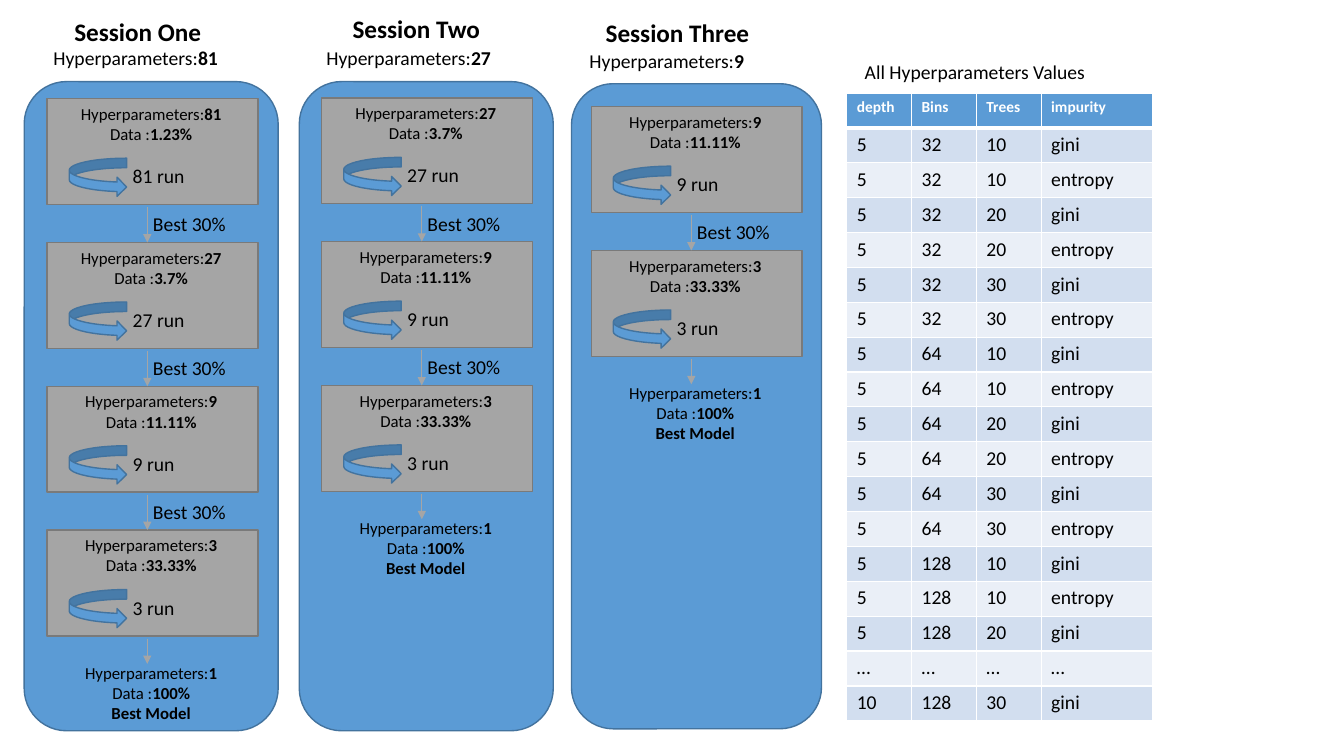
from dataclasses import dataclass
from itertools import islice, product

from lxml import etree
from pptx import Presentation
from pptx.dml.color import RGBColor
from pptx.enum.shapes import MSO_CONNECTOR, MSO_SHAPE
from pptx.enum.text import MSO_AUTO_SIZE, PP_ALIGN
from pptx.oxml.ns import qn
from pptx.shapes.autoshape import Shape
from pptx.slide import Slide
from pptx.table import _Cell
from pptx.util import Pt

RECTANGLE = MSO_SHAPE.RECTANGLE
ROUNDED_RECTANGLE = MSO_SHAPE.ROUNDED_RECTANGLE
LOOP_ARROW = MSO_SHAPE.CURVED_RIGHT_ARROW
STRAIGHT = MSO_CONNECTOR.STRAIGHT
LEFT, CENTER = PP_ALIGN.LEFT, PP_ALIGN.CENTER
GROW = MSO_AUTO_SIZE.SHAPE_TO_FIT_TEXT

FONT = "Calibri"
COLORS = {
    "blue": "5B9BD5",
    "blue_line": "43739E",
    "gray": "A5A5A5",
    "gray_line": "7A7A7A",
    "odd_row": "D2DEEF",
    "even_row": "EAEFF7",
    "white": "FFFFFF",
    "black": "000000",
}

Line = tuple[str, str]  # plain label, bold value


@dataclass(frozen=True)
class Frame:
    left: float
    top: float
    width: float
    height: float


@dataclass(frozen=True)
class Stage:
    hyperparameters: str
    data: str

    def lines(self) -> list[Line]:
        return [("Hyperparameters:", self.hyperparameters), ("Data :", self.data)]


@dataclass(frozen=True)
class Session:
    title: str
    title_frame: Frame
    count_frame: Frame
    panel: Frame
    box_left: float
    box_top: float
    stages: list[Stage]


STAGES = [Stage("81", "1.23%"), Stage("27", "3.7%"), Stage("9", "11.11%"), Stage("3", "33.33%")]
FINAL = Stage("1", "100%")
BOX_WIDTH, BOX_HEIGHT, BOX_PITCH = 150.5, 75.6, 102.7

SESSIONS = [
    Session("Session One", Frame(46, 8, 121, 29), Frame(31, 29.5, 154, 24.5),
            Frame(17.3, 58.3, 181.4, 463.7), 33.7, 70.5, STAGES),
    Session("Session Two", Frame(244.8, 5.8, 117.4, 29), Frame(226, 29.5, 154, 24.5),
            Frame(213.8, 58.3, 181.4, 463.7), 229.8, 69.9, STAGES[1:]),
    Session("Session Three", Frame(425.5, 8.6, 131, 29), Frame(414, 31.7, 146.2, 24.5),
            Frame(408.2, 59.8, 178.6, 460.8), 422.3, 76.2, STAGES[2:]),
]

COLUMN_WIDTHS = [46.3, 46.3, 46.3, 79.3]
ROW_HEIGHT = 24.92
HEADER = ("depth", "Bins", "Trees", "impurity")
COMBINATIONS = product(("5",), ("32", "64", "128"), ("10", "20", "30"), ("gini", "entropy"))
ROWS = [HEADER, *islice(COMBINATIONS, 15), ("…",) * 4, ("10", "128", "30", "gini")]


def rgb(color: str) -> RGBColor:
    return RGBColor.from_string(COLORS[color])


def add_text(slide: Slide, frame: Frame, lines: list[Line], *, size: float = 14,
             align: PP_ALIGN = LEFT, wrap: bool = False) -> None:
    """Add one paragraph per line, with the label plain and the value bold."""
    box = slide.shapes.add_textbox(
        Pt(frame.left), Pt(frame.top), Pt(frame.width), Pt(frame.height))
    text_frame = box.text_frame
    text_frame.word_wrap = wrap
    text_frame.auto_size = GROW
    for index, line in enumerate(lines):
        paragraph = text_frame.add_paragraph() if index else text_frame.paragraphs[0]
        paragraph.alignment = align
        for text, bold in zip(line, (False, True)):
            if text:
                run = paragraph.add_run()
                run.text = text
                run.font.name = FONT
                run.font.size = Pt(size)
                run.font.bold = bold
                run.font.color.rgb = rgb("black")


def add_shape(slide: Slide, kind: MSO_SHAPE, frame: Frame, fill: str, line: str) -> Shape:
    shape = slide.shapes.add_shape(
        kind, Pt(frame.left), Pt(frame.top), Pt(frame.width), Pt(frame.height))
    shape.shadow.inherit = False
    shape.fill.solid()
    shape.fill.fore_color.rgb = rgb(fill)
    shape.line.color.rgb = rgb(line)
    shape.line.width = Pt(1)
    return shape


def add_down_arrow(slide: Slide, x: float, top: float, bottom: float) -> None:
    connector = slide.shapes.add_connector(STRAIGHT, Pt(x), Pt(top), Pt(x), Pt(bottom))
    connector.line.color.rgb = rgb("gray")
    connector.line.width = Pt(0.5)
    etree.SubElement(connector.line._get_or_add_ln(), qn("a:tailEnd"), type="triangle")
    etree.SubElement(connector._element.spPr, qn("a:effectLst"))


def add_stage(slide: Slide, stage: Stage, left: float, top: float) -> None:
    add_shape(slide, RECTANGLE, Frame(left, top, BOX_WIDTH, BOX_HEIGHT), "gray", "gray_line")
    add_text(slide, Frame(left - 1, top, BOX_WIDTH, 36), stage.lines(),
             size=12, align=CENTER, wrap=True)
    add_shape(slide, LOOP_ARROW, Frame(left + 15.8, top + 42.5, 41, 27.4), "blue", "blue_line")
    run_width = 40.3 + 7.5 * len(stage.hyperparameters)
    add_text(slide, Frame(left + 54, top + 43.2, run_width, 24.5),
             [(f"{stage.hyperparameters} run", "")])


def add_session(slide: Slide, session: Session) -> None:
    add_shape(slide, ROUNDED_RECTANGLE, session.panel, "blue", "blue_line")
    add_text(slide, session.title_frame, [("", session.title)], size=18)
    add_text(slide, session.count_frame, session.stages[0].lines()[:1])
    left = session.box_left
    arrow_x = left + 71.5
    for index, stage in enumerate(session.stages):
        top = session.box_top + index * BOX_PITCH
        add_stage(slide, stage, left, top)
        if index:
            add_down_arrow(slide, arrow_x, top - 25.2, top)
            add_text(slide, Frame(left + 68.4, top - 25, 72.7, 24.5), [("Best 30%", "")])
    arrow_top = top + BOX_HEIGHT + 2
    add_down_arrow(slide, arrow_x, arrow_top, arrow_top + 18)
    add_text(slide, Frame(left - 1, top + 91, BOX_WIDTH, 51),
             [*FINAL.lines(), ("", "Best Model")], size=12, align=CENTER, wrap=True)


def add_borders(cell: _Cell, top: float, bottom: float) -> None:
    properties = cell._tc.get_or_add_tcPr()
    for tag, width in (("lnL", 1), ("lnR", 1), ("lnT", top), ("lnB", bottom)):
        border = etree.SubElement(properties, qn(f"a:{tag}"), w=str(Pt(width)))
        fill = etree.SubElement(border, qn("a:solidFill"))
        etree.SubElement(fill, qn("a:srgbClr"), val=COLORS["white"])


def add_values_table(slide: Slide) -> None:
    table = slide.shapes.add_table(
        len(ROWS), len(HEADER), Pt(604.8), Pt(66.4),
        Pt(sum(COLUMN_WIDTHS)), Pt(ROW_HEIGHT * len(ROWS))).table
    for column, width in zip(table.columns, COLUMN_WIDTHS):
        column.width = Pt(width)
    for row_index, values in enumerate(ROWS):
        table.rows[row_index].height = Pt(ROW_HEIGHT)
        is_header = row_index == 0
        fill = "blue" if is_header else ("odd_row" if row_index % 2 else "even_row")
        for column_index, value in enumerate(values):
            cell = table.cell(row_index, column_index)
            add_borders(cell, top=3 if row_index == 1 else 1, bottom=3 if is_header else 1)
            cell.fill.solid()
            cell.fill.fore_color.rgb = rgb(fill)
            cell.text = value
            font = cell.text_frame.paragraphs[0].runs[0].font
            font.name = FONT
            font.size = Pt(11 if is_header else 14)
            font.bold = is_header
            font.color.rgb = rgb("white" if is_header else "black")


def main() -> None:
    presentation = Presentation()
    presentation.slide_width = Pt(960)
    presentation.slide_height = Pt(540)
    slide = presentation.slides.add_slide(presentation.slide_layouts[6])
    for session in SESSIONS:
        add_session(slide, session)
    add_text(slide, Frame(610.6, 39.6, 203.8, 24.5), [("All Hyperparameters Values", "")])
    add_values_table(slide)
    presentation.save("out.pptx")


if __name__ == "__main__":
    main()
